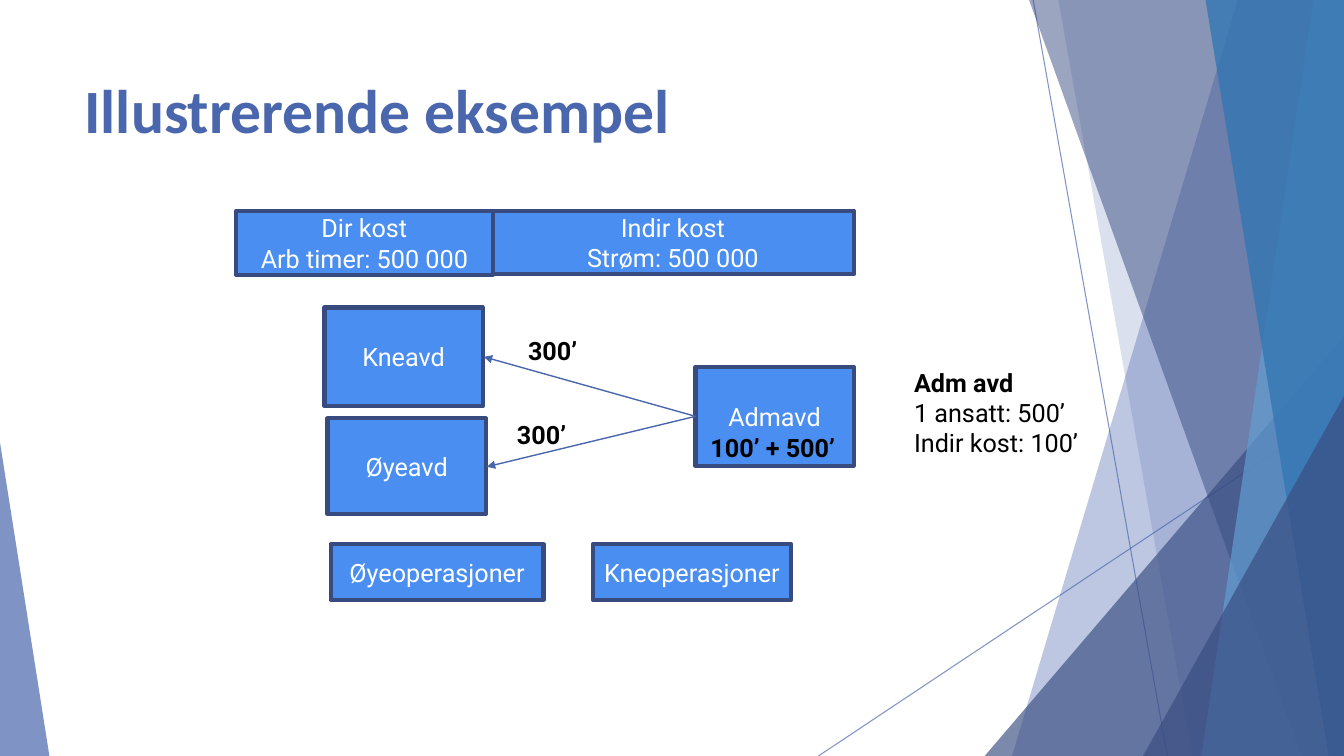
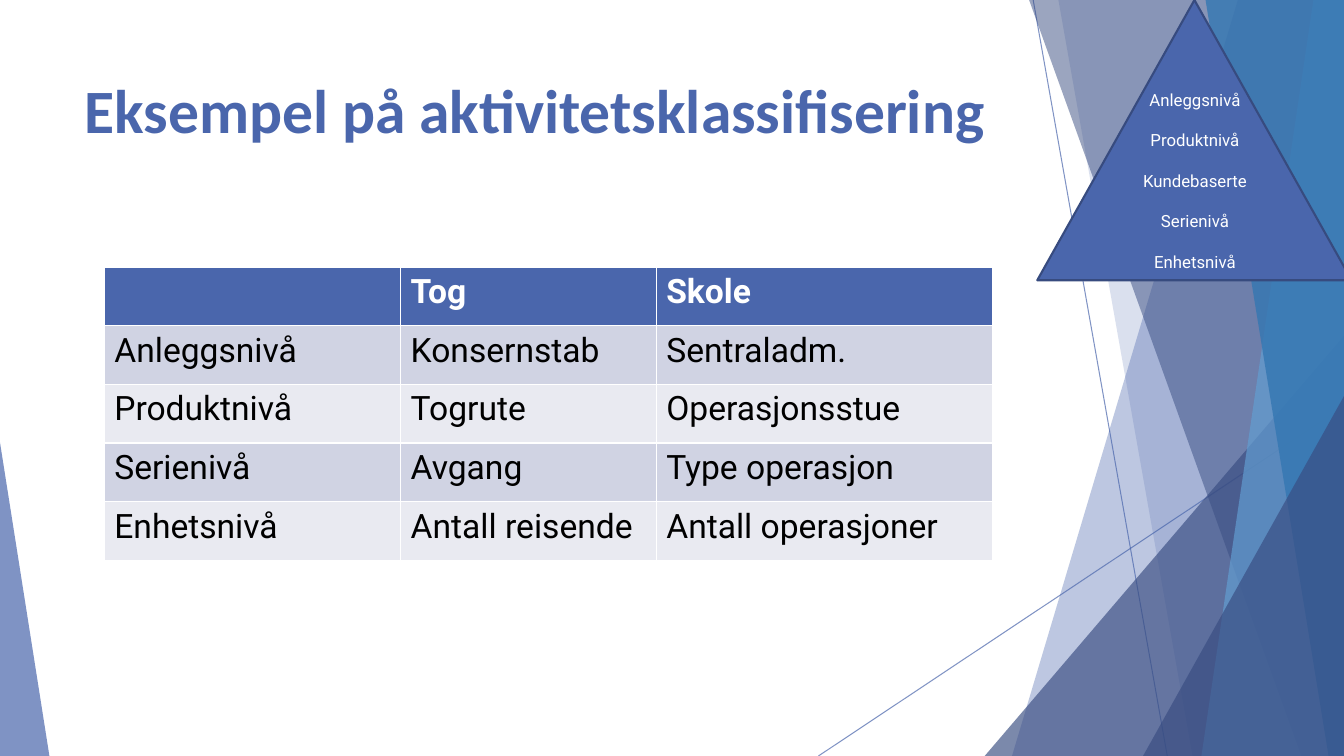
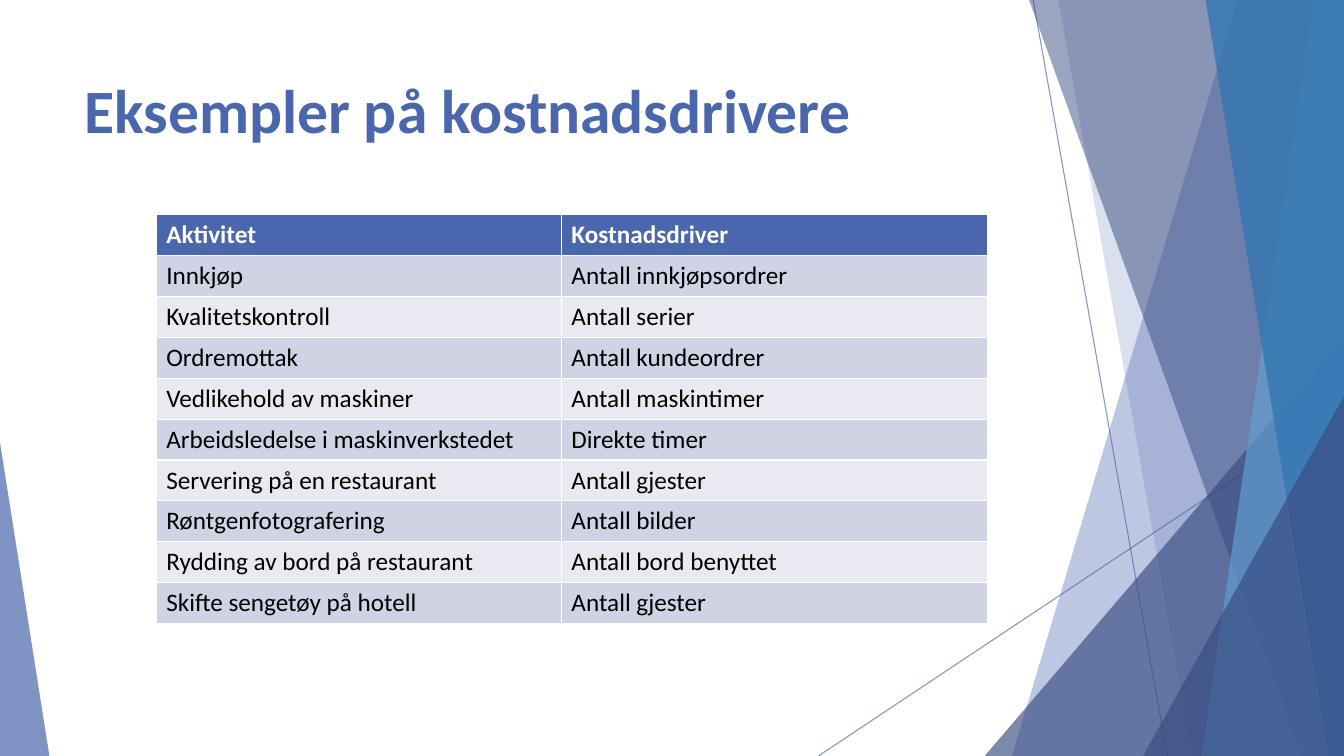
import lxml.etree
import pptx
import pptx.dml.color
import pptx.enum.shapes
import pptx.enum.text
import pptx.oxml.ns
import pptx.util

Pt = pptx.util.Pt
Kind = pptx.enum.shapes.MSO_SHAPE
Align = pptx.enum.text.PP_ALIGN
Anchor = pptx.enum.text.MSO_ANCHOR
qn = pptx.oxml.ns.qn

WIDTH, HEIGHT = 960, 540
COLORS = {
    "main": "4A66AC", "navy": "384C81", "edge": "374B7F", "box": "4A8EF2",
    "sky": "629DD1", "blue": "3477B2", "odd": "D0D3E3", "even": "E9EAF1",
    "white": "FFFFFF", "black": "000000",
}


def paint(fill, color):
    fill.solid()
    fill.fore_color.rgb = pptx.dml.color.RGBColor.from_string(COLORS[color])


def fade(shape, percent):
    """Make the first colour of the shape partly transparent."""
    color = next(shape.element.spPr.iter(qn("a:srgbClr")))
    lxml.etree.SubElement(color, qn("a:alpha"), val=str(percent * 1000))


class Deck:
    def __init__(self):
        self.file = pptx.Presentation()
        self.file.slide_width = Pt(WIDTH)
        self.file.slide_height = Pt(HEIGHT)
        self.shapes = None

    def start(self, title):
        """Add a slide with the shared backdrop and a title."""
        blank = self.file.slide_layouts[6]
        self.shapes = self.file.slides.add_slide(blank).shapes
        for start, end in (((738, 0), (833.8, HEIGHT)),
                           ((WIDTH, 290.2), (584.6, HEIGHT))):
            fade(self.line(start, end, 0.75), 70)
        self.band(884.2, 722.9, "main", 36)
        self.band(756, 851.8, "main", 20)
        self.wedge(703.4, 239.8, 256.6, "navy", 66)
        self.band(735.1, 929.5, "navy", 50)
        self.band(938.2, 858.2, "sky", 70)
        self.band(861.1, 949, "blue", 80)
        self.wedge(816.5, 283, 143.5, "navy", 66)
        self.wedge(0, 316.1, 35.3, "main", 70, tip=0)
        self.label((53.3, 48.2, 676.8, 103.7), [title], size=44,
                   font="Calibri", color="main", bold=1)

    def put(self, frame, lines, size=18, font="Roboto", color="black",
            bold=0, align=Align.LEFT, gap=0):
        """Fill the frame; the first `bold` lines are bold."""
        frame.text = "\n".join(lines)
        for row, para in enumerate(frame.paragraphs):
            para.alignment = align
            para.space_after = Pt(gap)
            for run in para.runs:
                run.font.size = Pt(size)
                run.font.name = font
                run.font.bold = row < bold
                paint(run.font.fill, color)

    def label(self, area, lines, **style):
        frame = self.shapes.add_textbox(*map(Pt, area)).text_frame
        frame.word_wrap = True
        self.put(frame, lines, **style)

    def shape(self, kind, area, color, edge=0):
        item = self.shapes.add_shape(kind, *map(Pt, area))
        self.style(item, color, edge)
        return item

    def style(self, item, color, edge=0):
        item.shadow.inherit = False
        paint(item.fill, color)
        if edge:
            paint(item.line.fill, "edge")
            item.line.width = Pt(edge)
        else:
            item.line.fill.background()

    def box(self, area, *lines):
        frame = self.shape(Kind.RECTANGLE, area, "box", edge=3).text_frame
        frame.vertical_anchor = Anchor.MIDDLE
        self.put(frame, lines, color="white", align=Align.CENTER)

    def band(self, top, foot, color, alpha):
        """Cover the slide to the right of a slanted edge."""
        pen = self.shapes.build_freeform(Pt(top), 0)
        pen.add_line_segments([(Pt(x), Pt(y)) for x, y in (
            (WIDTH, 0), (WIDTH, HEIGHT), (foot, HEIGHT))], close=True)
        item = pen.convert_to_shape()
        self.style(item, color)
        fade(item, alpha)

    def wedge(self, left, top, width, color, alpha, tip=1):
        area = (left, top, width, HEIGHT - top)
        item = self.shape(Kind.ISOSCELES_TRIANGLE, area, color)
        item.adjustments[0] = tip
        fade(item, alpha)

    def line(self, start, end, width, arrow=False):
        item = self.shapes.add_connector(
            pptx.enum.shapes.MSO_CONNECTOR.STRAIGHT,
            *map(Pt, (*start, *end)))
        paint(item.line.fill, "main")
        item.line.width = Pt(width)
        props = item.element.spPr
        if arrow:
            lxml.etree.SubElement(props.find(qn("a:ln")), qn("a:tailEnd"),
                                  type="triangle")
        lxml.etree.SubElement(props, qn("a:effectLst"))
        return item

    def table(self, left, top, widths, height, rows, **style):
        """Draw a table with a header row and striped body rows."""
        grid = self.shapes.add_table(
            len(rows), len(widths), Pt(left), Pt(top),
            Pt(sum(widths)), Pt(height * len(rows))).table
        grid.horz_banding = False
        for column, width in zip(grid.columns, widths):
            column.width = Pt(width)
        for index, texts in enumerate(rows):
            grid.rows[index].height = Pt(height)
            head = index == 0
            back = "main" if head else ("even", "odd")[index % 2]
            for cell, text in zip(grid.rows[index].cells, texts):
                paint(cell.fill, back)
                self.put(cell.text_frame, [text], bold=int(head),
                         color="white" if head else "black", **style)


def costs(deck):
    deck.start("Illustrerende eksempel")
    deck.box((234, 298.8, 113, 68.4), "Øyeavd")
    deck.box((231.8, 219.6, 113, 70.6), "Kneavd")
    deck.box((496.8, 262.1, 113, 70.6), "Admavd")
    deck.box((351.4, 150.5, 258.5, 45.4), "Indir kost", "Strøm: 500 000")
    deck.box((168.5, 150.8, 183.6, 45.4), "Dir kost", "Arb timer: 500 000")
    deck.box((236.2, 388.8, 152, 39.6), "Øyeoperasjoner")
    deck.box((423.4, 388.8, 141.8, 39.6), "Kneoperasjoner")
    deck.label((500.4, 305.3, 112.3, 28.8), ["100’ + 500’"], bold=1)
    for end in ((345.6, 254.9), (347.8, 333.4)):
        deck.line((496.8, 297.4), end, 1, arrow=True)
    for left, top in ((370.1, 236.2), (362.2, 295.9)):
        deck.label((left, top, 53.3, 28.8), ["300’"], bold=1)
    deck.label((645.8, 258.5, 138.2, 72.7),
               ["Adm avd", "1 ansatt: 500’", "Indir kost: 100’"], bold=1)


def levels(deck):
    deck.start("Eksempel på aktivitetsklassifisering")
    deck.table(74.5, 190.8, (211.7, 182.6, 240.5), 41.9, (
        ("", "Tog", "Skole"),
        ("Anleggsnivå", "Konsernstab", "Sentraladm."),
        ("Produktnivå", "Togrute", "Operasjonsstue"),
        ("Serienivå", "Avgang", "Type operasjon"),
        ("Enhetsnivå", "Antall reisende", "Antall operasjoner"),
    ), size=24)
    deck.shape(Kind.ISOSCELES_TRIANGLE, (740.9, 0, 224.6, 200.2),
               "main", edge=1.5)
    deck.label((780.5, 60.5, 146.2, 159.8),
               ["Anleggsnivå", "Produktnivå", "Kundebaserte", "Serienivå",
                "Enhetsnivå"],
               size=12, color="white", align=Align.CENTER, gap=14.5)


def drivers(deck):
    deck.start("Eksempler på kostnadsdrivere")
    deck.table(111.6, 153.4, (289.4, 304.6), 29.2, (
        ("Aktivitet", "Kostnadsdriver"),
        ("Innkjøp", "Antall innkjøpsordrer"),
        ("Kvalitetskontroll", "Antall serier"),
        ("Ordremottak", "Antall kundeordrer"),
        ("Vedlikehold av maskiner", "Antall maskintimer"),
        ("Arbeidsledelse i maskinverkstedet", "Direkte timer"),
        ("Servering på en restaurant", "Antall gjester"),
        ("Røntgenfotografering", "Antall bilder"),
        ("Rydding av bord på restaurant", "Antall bord benyttet"),
        ("Skifte sengetøy på hotell", "Antall gjester"),
    ), font="Calibri")


def main():
    deck = Deck()
    for build in (costs, levels, drivers):
        build(deck)
    deck.file.save("out.pptx")


if __name__ == "__main__":
    main()
